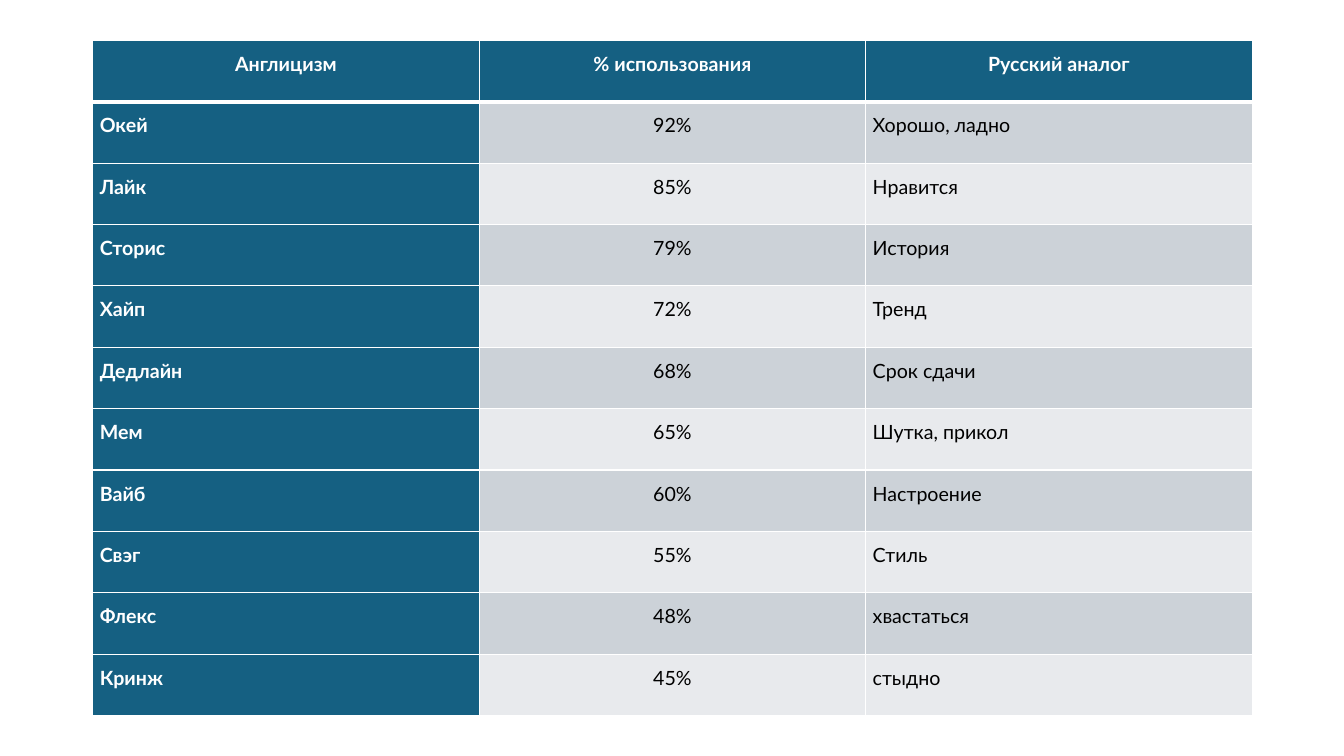
from lxml.etree import SubElement
from pptx import Presentation
from pptx.dml.color import RGBColor
from pptx.enum.text import PP_ALIGN
from pptx.oxml.ns import qn
from pptx.util import Inches, Pt

COLORS = {
    "head": "156082",
    "odd": "CCD2D8",
    "even": "E8EAED",
    "white": "FFFFFF",
    "black": "000000",
}
HEADER = ("Англицизм", "% использования", "Русский аналог")
WORDS = [
    ("Окей", 92, "Хорошо, ладно"),
    ("Лайк", 85, "Нравится"),
    ("Сторис", 79, "История"),
    ("Хайп", 72, "Тренд"),
    ("Дедлайн", 68, "Срок сдачи"),
    ("Мем", 65, "Шутка, прикол"),
    ("Вайб", 60, "Настроение"),
    ("Свэг", 55, "Стиль"),
    ("Флекс", 48, "хвастаться"),
    ("Кринж", 45, "стыдно"),
]


def write(tf, text, font="Lato", size=14, color="black", bold=False,
          align=PP_ALIGN.LEFT, spacing=1.5):
    p = tf.paragraphs[0]
    p.alignment = align
    p.line_spacing = spacing
    r = p.add_run()
    r.text = text
    r.font.name = font
    r.font.size = Pt(size)
    r.font.bold = bold
    r.font.color.rgb = RGBColor.from_string(COLORS[color])


class SlideBuilder:
    def __init__(self, prs):
        self.slide = prs.slides.add_slide(prs.slide_layouts[6])
        self.inset = Inches(0.07)

    def border(self, cell, **widths):
        tc_pr = cell._tc.get_or_add_tcPr()
        for side in "LRTB":
            ln = SubElement(tc_pr, qn(f"a:ln{side}"), w=str(Pt(widths.get(side, 1))))
            fill = SubElement(ln, qn("a:solidFill"))
            SubElement(fill, qn("a:srgbClr"), val=COLORS["white"])

    def cell(self, cell, text, row, col):
        is_head = row == 0 or col == 0
        cell.margin_left = cell.margin_right = self.inset
        cell.margin_top = cell.margin_bottom = 0
        self.border(cell, T=3 if row == 1 else 1, B=3 if row == 0 else 1)
        fill = "head" if is_head else "odd" if row % 2 else "even"
        cell.fill.solid()
        cell.fill.fore_color.rgb = RGBColor.from_string(COLORS[fill])
        centered = row == 0 or col == 1
        write(cell.text_frame, text, bold=is_head,
              color="white" if is_head else "black",
              align=PP_ALIGN.CENTER if centered else PP_ALIGN.LEFT)

    def table(self, rows, left, top, width, height):
        table = self.slide.shapes.add_table(
            len(rows), len(rows[0]), Inches(left), Inches(top),
            Inches(width), Inches(height)).table
        table.first_col = True
        for i, row in enumerate(rows):
            for j, text in enumerate(row):
                self.cell(table.cell(i, j), text, i, j)


def main():
    prs = Presentation()
    prs.slide_width = Inches(13.33)
    prs.slide_height = Inches(7.5)
    s = SlideBuilder(prs)
    rows = [HEADER] + [(word, f"{share}%", analog) for word, share, analog in WORDS]
    s.table(rows, 0.92, 0.4, 11.5, 6.7)
    prs.save("out.pptx")


if __name__ == "__main__":
    main()
